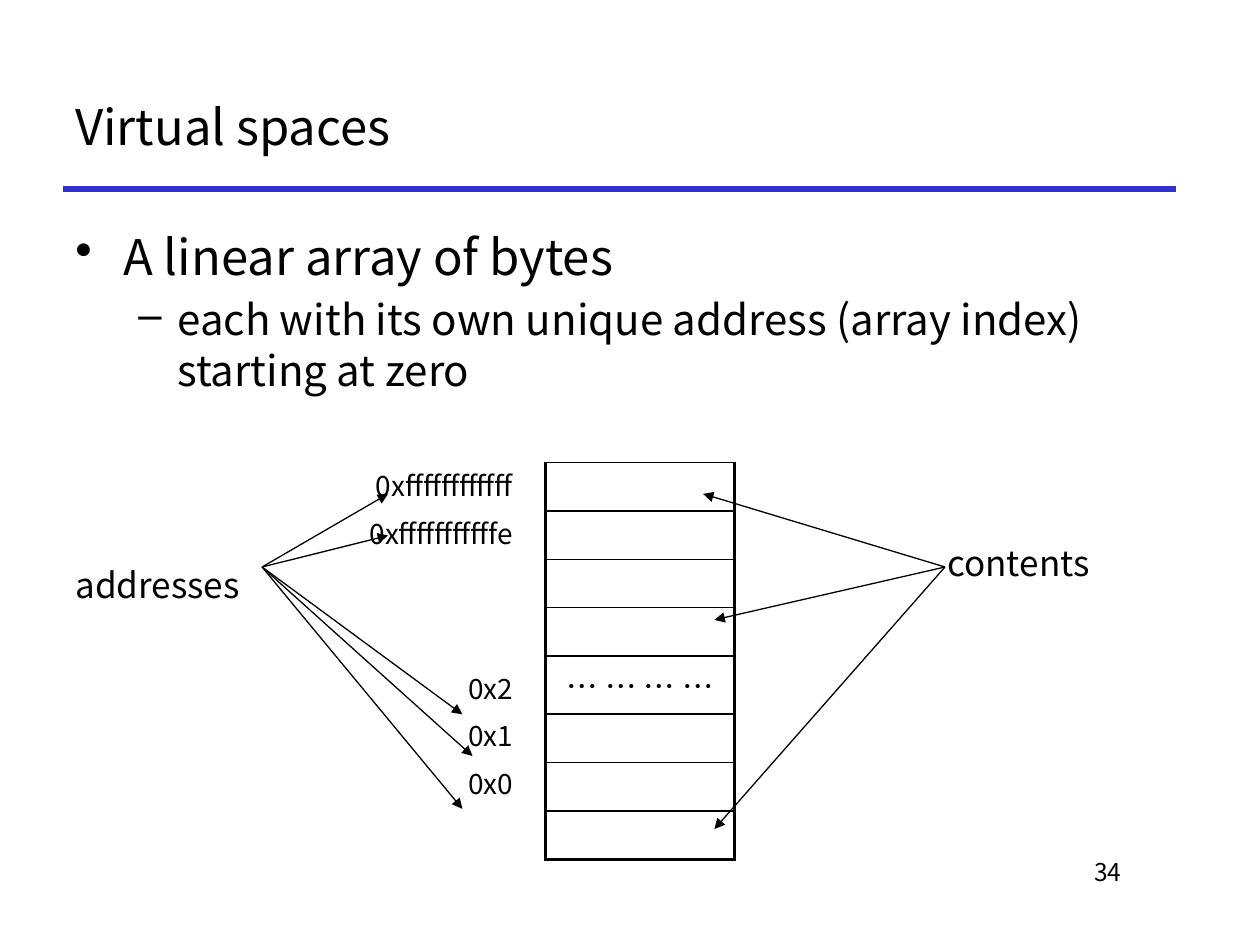
from lxml import etree
from pptx import Presentation
from pptx import util as u
from pptx.dml.color import RGBColor
from pptx.enum import shapes, text
from pptx.oxml import ns

Inches, Pt = u.Inches, u.Pt
FONT = "Noto Sans CJK KR"
COLORS = {"ink": "000000", "rule": "3333CC"}


def write(paragraph, words, size=20, align=text.PP_ALIGN.LEFT, before=0):
    """Write one formatted run into a paragraph."""
    paragraph.alignment = align
    paragraph.space_before = Pt(before)
    run = paragraph.add_run()
    run.text = words
    run.font.name = FONT
    run.font.size = Pt(size)
    run.font.color.rgb = RGBColor.from_string(COLORS["ink"])


def add_frame(slide, box, anchor=text.MSO_ANCHOR.TOP):
    """Add a wrapping text box and return its text frame."""
    frame = slide.shapes.add_textbox(*map(Inches, box)).text_frame
    frame.word_wrap = True
    frame.vertical_anchor = anchor
    return frame


def add_label(slide, box, words, anchor=text.MSO_ANCHOR.TOP, **form):
    """Add a text box with a single paragraph."""
    write(add_frame(slide, box, anchor).paragraphs[0], words, **form)


def add_line(slide, start, end, color="ink", width=0.75, arrow=False):
    """Draw a straight line, with an arrowhead at its end if asked."""
    line = slide.shapes.add_connector(
        shapes.MSO_CONNECTOR.STRAIGHT, *map(Inches, start + end))
    line.line.color.rgb = RGBColor.from_string(COLORS[color])
    line.line.width = Pt(width)
    if arrow:
        etree.SubElement(line.line._get_or_add_ln(), ns.qn("a:tailEnd"), type="triangle")
    etree.SubElement(line._element.spPr, ns.qn("a:effectLst"))


def add_heading(slide, box):
    """Place the title with the rule along the bottom of its box."""
    left, top, width, height = box
    bottom = top + height
    add_line(slide, (left, bottom), (left + width, bottom), "rule", 3)
    add_label(slide, box, "Virtual spaces", text.MSO_ANCHOR.MIDDLE, size=28)


def add_outline(slide, box):
    """Place the bulleted statement and its sub-point."""
    points = [
        ("A linear array of bytes", "•", 28, 0.38, 0.38),
        ("each with its own unique address (array index) starting at zero",
         "–", 24, 0.81, 0.31),
    ]
    frame = add_frame(slide, box)
    for level, (words, bullet, size, indent, hang) in enumerate(points):
        paragraph = frame.add_paragraph() if level else frame.paragraphs[0]
        write(paragraph, words, size=size, before=size * 0.2)
        paragraph.level = level
        properties = paragraph._p.get_or_add_pPr()
        properties.set("marL", str(Inches(indent)))
        properties.set("indent", str(-Inches(hang)))
        etree.SubElement(properties, ns.qn("a:buChar"), char=bullet)


def set_borders(cell, **widths):
    """Give a cell solid borders, keyed by side."""
    properties = cell._tc.get_or_add_tcPr()
    for position, side in enumerate("LRTB"):
        border = etree.Element(ns.qn(f"a:ln{side}"), w=str(Pt(widths[side])))
        fill = etree.SubElement(border, ns.qn("a:solidFill"))
        etree.SubElement(fill, ns.qn("a:srgbClr"), val=COLORS["ink"])
        properties.insert(position, border)


def add_memory(slide, box, rows=8, gap_row=4, gap_height=0.46):
    """Place the column of memory cells with its ellipsis row."""
    memory = slide.shapes.add_table(rows, 1, *map(Inches, box)).table
    memory.first_row = memory.horz_banding = False
    for index, row in enumerate(memory.rows):
        plain = (box[3] - gap_height) / (rows - 1)
        row.height = Inches(gap_height if index == gap_row else plain)
        cell = row.cells[0]
        cell.fill.background()
        cell.margin_top = cell.margin_bottom = 0
        cell.vertical_anchor = text.MSO_ANCHOR.MIDDLE
        set_borders(cell, L=2.25, R=2.25, T=1, B=2.25 if index == rows - 1 else 1)
    write(memory.cell(gap_row, 0).text_frame.paragraphs[0], "… … … …",
          size=18, align=text.PP_ALIGN.CENTER)


def add_addresses(slide, box):
    """Place the addresses from highest to lowest, with a gap in the middle."""
    addresses = [("0xffffffffffff", 0), ("0xfffffffffffe", 8),
                 ("0x2", 69.5), ("0x1", 8), ("0x0", 8)]
    frame = add_frame(slide, box)
    for index, (address, before) in enumerate(addresses):
        paragraph = frame.add_paragraph() if index else frame.paragraphs[0]
        write(paragraph, address, size=16, align=text.PP_ALIGN.RIGHT, before=before)


def add_callout(slide, box, words, origin, targets):
    """Place a label and the arrows fanning out from an offset in its box."""
    add_label(slide, box, words)
    start = (box[0] + origin[0], box[1] + origin[1])
    for target in targets:
        add_line(slide, start, target, arrow=True)


def main():
    """Build and save the slide."""
    deck = Presentation()
    deck.slide_width, deck.slide_height = Inches(10), Inches(7.5)
    slide = deck.slides.add_slide(deck.slide_layouts[6])
    add_heading(slide, (0.5, 0.5, 8.83, 1))
    add_outline(slide, (0.5, 1.75, 9.08, 4.83))
    add_memory(slide, (4.33, 3.67, 1.5, 3.15))
    add_addresses(slide, (2.75, 3.67, 1.42, 2.97))
    add_callout(slide, (0.5, 4.42, 1.58, 0.44), "addresses", (1.58, 0.08),
                [(3.08, 3.92), (3.08, 4.25), (3.67, 5.67), (3.75, 6), (3.67, 6.42)])
    add_callout(slide, (7.42, 4.25, 1.92, 0.44), "contents", (0.08, 0.25),
                [(5.58, 3.92), (5.67, 4.92), (5.67, 6.58)])
    add_label(slide, (7.58, 6.75, 1.42, 0.5), "34", size=14, align=text.PP_ALIGN.RIGHT)
    deck.save("out.pptx")


if __name__ == "__main__":
    main()
